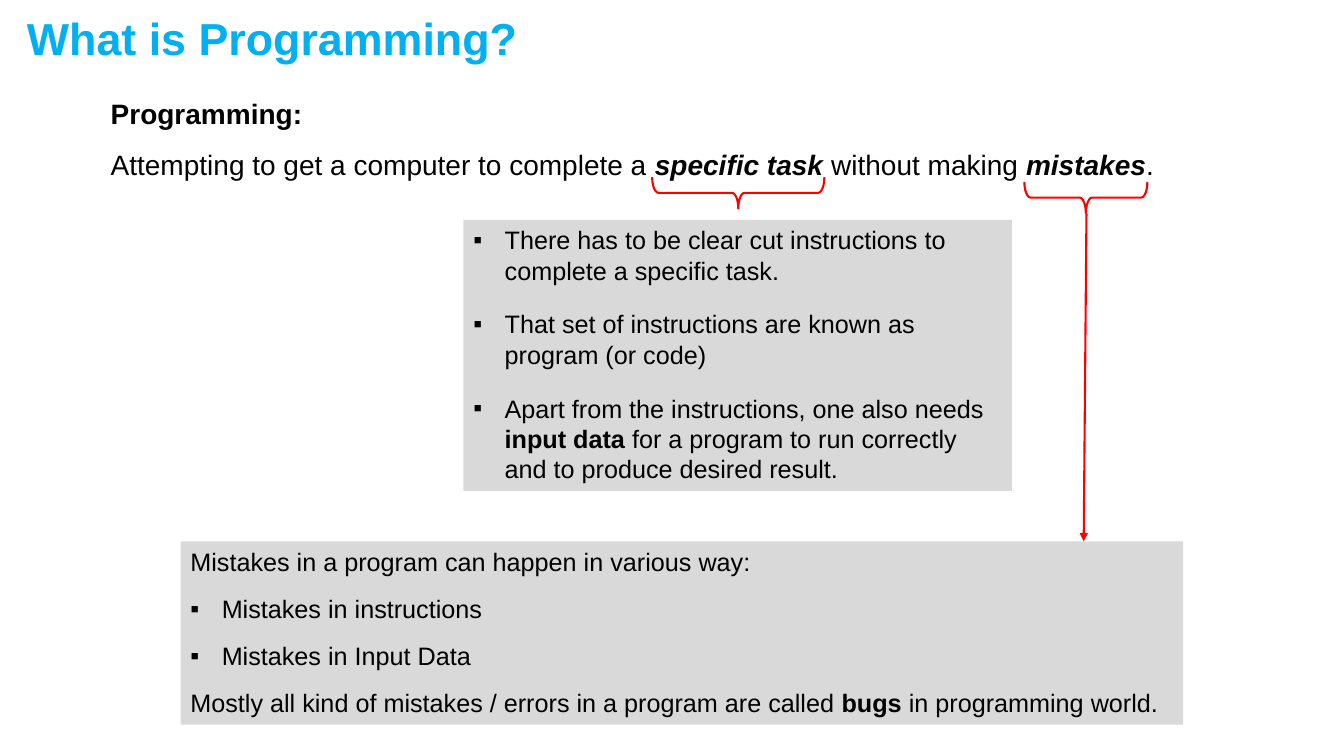
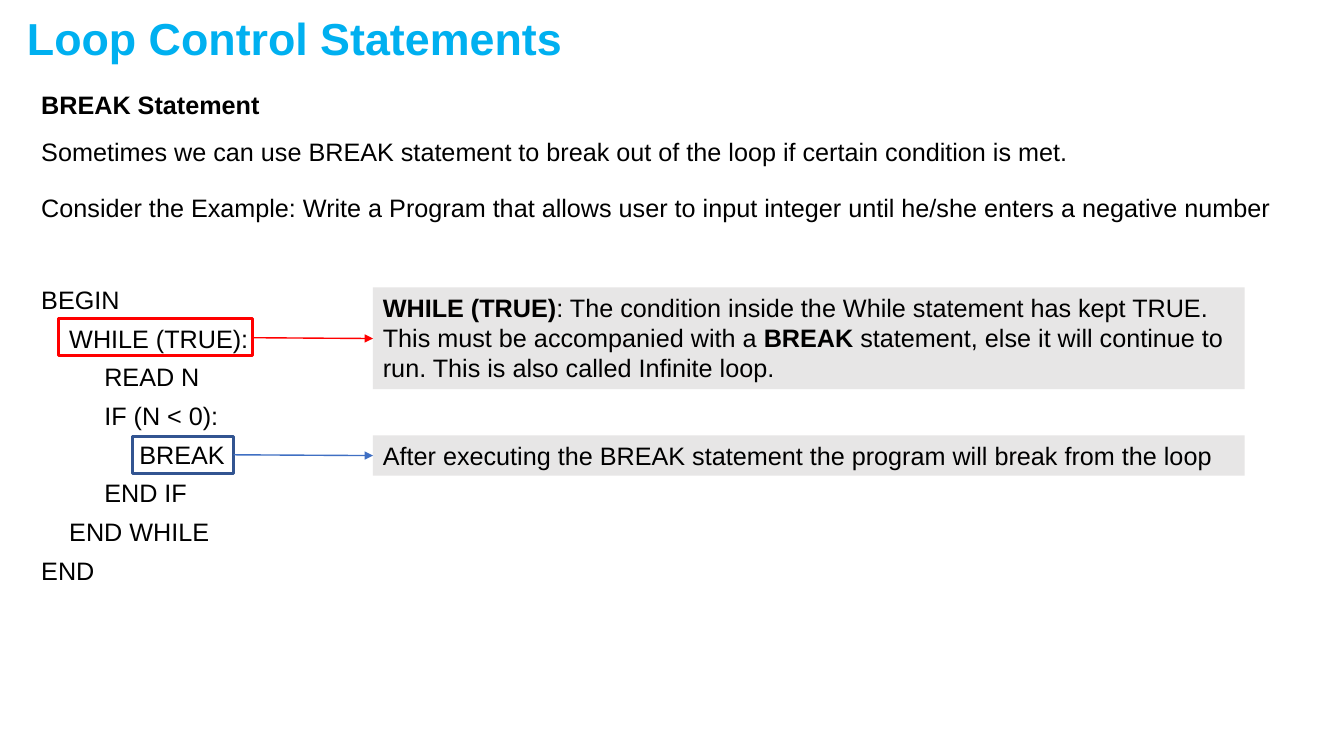
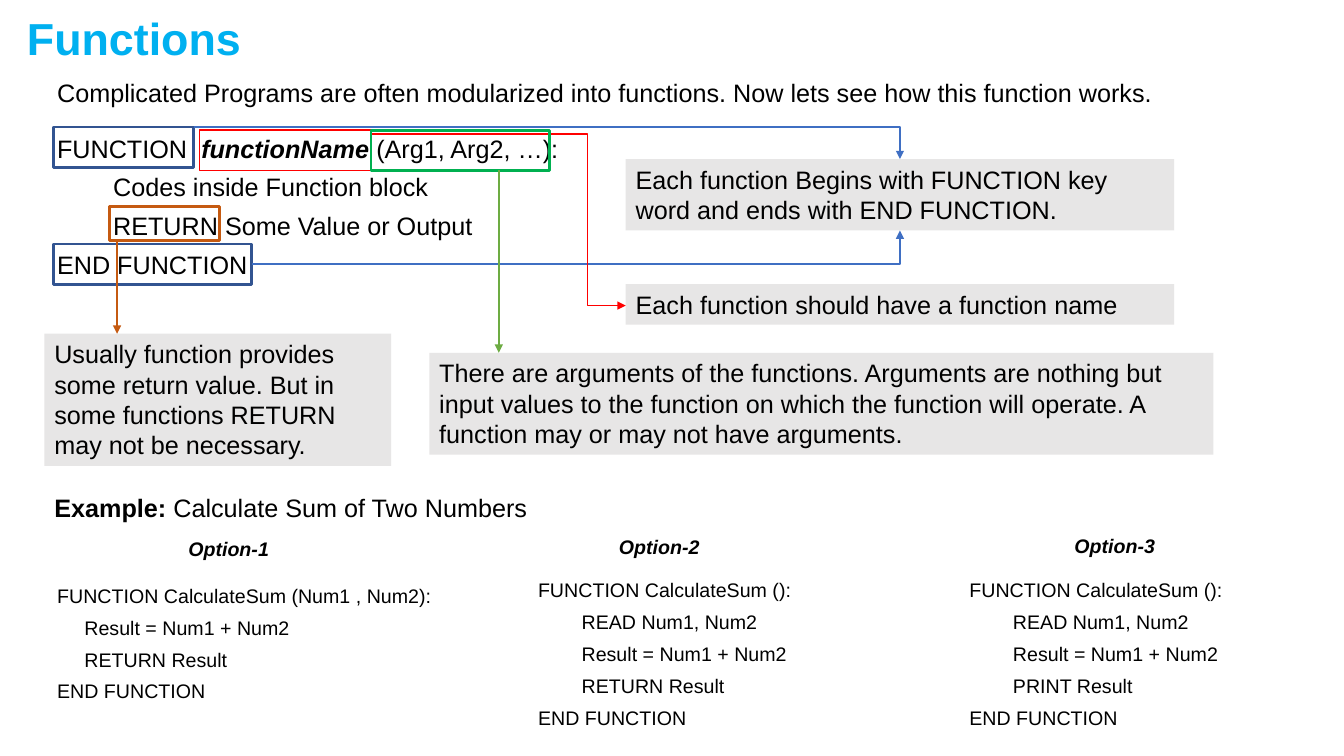
from dataclasses import dataclass
from typing import NamedTuple

from pptx import Presentation
from pptx.dml.color import RGBColor as Rgb
from pptx.enum.shapes import MSO_CONNECTOR as Link, MSO_SHAPE as Kind
from pptx.enum.text import MSO_ANCHOR as Anchor, PP_ALIGN as Align
from pptx.oxml.ns import qn
from pptx.oxml.xmlchemy import OxmlElement as Node
from pptx.util import Cm, Pt

FONT = "Arial"
LEAD = 1.2
SPACE = 0.278
HANG = Cm(0.79)
COLORS = {
    "title": "00B0F0", "text": "000000", "gray": "D9D9D9", "pale": "E7E6E6",
    "red": "FF0000", "navy": "325491", "blue": "3F6FC3", "green": "00B050",
    "leaf": "6DAC43", "rust": "C55A11",
}


class Box(NamedTuple):
    left: float
    top: float
    width: float
    height: float


class Spot(NamedTuple):
    x: float
    y: float


@dataclass
class Line:
    text: str
    pad: int = 0
    gap: float = 0
    mark: bool = False
    slant: bool = False


@dataclass
class Note:
    box: Box
    lines: list[Line]
    fill: str = "pale"


@dataclass
class Frame:
    box: Box
    color: str
    weight: float = 2


@dataclass
class Arrow:
    start: Spot
    end: Spot
    color: str
    weight: float = 1.5
    prst: str = "line"
    bend: float = 0


@dataclass
class Option:
    label: Spot
    box: Box
    head: str
    body: list[str]
    pad: int


def color(name: str) -> Rgb:
    return Rgb.from_string(COLORS[name])


def place(box: Box) -> list[Cm]:
    return [Cm(side) for side in box]


def write(shape, lines: list[Line], *, size: float = 18, ink: str = "text",
          align=Align.LEFT) -> None:
    frame = shape.text_frame
    frame.word_wrap = True
    frame.vertical_anchor = Anchor.TOP
    for at, line in enumerate(lines):
        para = frame.paragraphs[0] if at == 0 else frame.add_paragraph()
        para.alignment = align
        para.line_spacing = Pt(LEAD * size)
        para.space_before = Pt(LEAD * line.gap)
        props = para._p.get_or_add_pPr()
        if line.mark:
            props.set("marL", str(HANG))
            props.set("indent", str(-HANG))
            face = Node("a:buFont")
            face.set("typeface", FONT)
            sign = Node("a:buChar")
            sign.set("char", "▪")
            props.extend([face, sign])
        elif line.pad:
            props.set("marL", str(Pt(SPACE * size * line.pad)))
            props.set("indent", "0")
        for part, words in enumerate(line.text.split("|")):
            if words:
                run = para.add_run()
                run.text = words
                run.font.name = FONT
                run.font.size = Pt(size)
                run.font.color.rgb = color(ink)
                run.font.bold = part % 2 == 1
                run.font.italic = line.slant and part % 2 == 1


def text(slide, box: Box, lines: list[Line], **style) -> None:
    write(slide.shapes.add_textbox(*place(box)), lines, **style)


def draw_note(slide, note: Note) -> None:
    shape = slide.shapes.add_shape(Kind.RECTANGLE, *place(note.box))
    shape.shadow.inherit = False
    shape.fill.solid()
    shape.fill.fore_color.rgb = color(note.fill)
    shape.line.fill.background()
    write(shape, note.lines)


def draw_frame(slide, frame: Frame, kind=Kind.RECTANGLE):
    shape = slide.shapes.add_shape(kind, *place(frame.box))
    shape.shadow.inherit = False
    shape.fill.background()
    shape.line.color.rgb = color(frame.color)
    shape.line.width = Pt(frame.weight)
    return shape


def draw_brace(slide, box: Box) -> None:
    brace = draw_frame(slide, Frame(box, "red", 1.5), Kind.RIGHT_BRACE)
    brace.rotation = 90
    brace.adjustments[0] = 0.2


def draw_arrow(slide, arrow: Arrow) -> None:
    kind = Link.STRAIGHT if arrow.prst == "line" else Link.ELBOW
    link = slide.shapes.add_connector(kind, *place(arrow.start + arrow.end))
    link.line.color.rgb = color(arrow.color)
    link.line.width = Pt(arrow.weight)
    tail = Node("a:tailEnd")
    tail.set("type", "triangle")
    link.line._get_or_add_ln().append(tail)
    props = link._element.spPr
    props.append(Node("a:effectLst"))
    shape = props.find(qn("a:prstGeom"))
    shape.set("prst", arrow.prst)
    if arrow.bend:
        guide = Node("a:gd")
        guide.set("name", "adj1")
        guide.set("fmla", f"val {round(arrow.bend * 100000)}")
        shape.find(qn("a:avLst")).append(guide)


def draw(slide, items: list) -> None:
    tools = {Note: draw_note, Frame: draw_frame, Arrow: draw_arrow}
    for item in items:
        tools[type(item)](slide, item)


def code(rows: list[tuple[int, str]]) -> list[Line]:
    return [Line(words, pad, 5 if at else 0, slant=True)
            for at, (pad, words) in enumerate(rows)]


def start(deck, title: str):
    slide = deck.slides.add_slide(deck.slide_layouts[6])
    text(slide, Box(0.43, 0.15, 26.19, 1.63), [Line(f"|{title}|")],
         size=32, ink="title")
    return slide


def intro(deck) -> None:
    slide = start(deck, "What is Programming?")
    text(slide, Box(2.54, 2.31, 28.78, 2.39), [
        Line("|Programming:|"),
        Line("Attempting to get a computer to complete a |specific task |"
             "without making |mistakes|.", gap=10, slant=True),
    ], size=20)
    for box in (Box(18.21, 2.69, 0.79, 4.34), Box(26.97, 3.43, 0.79, 3.1)):
        draw_brace(slide, box)
    draw(slide, [
        Note(Box(11.68, 5.54, 13.82, 6.83), [
            Line("There has to be clear cut instructions to complete a "
                 "specific task.", mark=True),
            Line("That set of instructions are known as program (or code)",
                 gap=14, mark=True),
            Line("Apart from the instructions, one also needs |input data |"
                 "for a program to run correctly and to produce desired "
                 "result.", gap=14, mark=True),
        ], "gray"),
        Note(Box(4.55, 13.64, 25.27, 4.62), [
            Line("Mistakes in a program can happen in various way:"),
            Line("Mistakes in instructions", gap=10, mark=True),
            Line("Mistakes in Input Data", gap=10, mark=True),
            Line("Mostly all kind of mistakes / errors in a program are "
                 "called |bugs| in programming world.", gap=10),
        ], "gray"),
        Arrow(Spot(27.38, 5.38), Spot(27.31, 13.64), "red"),
    ])


def loops(deck) -> None:
    slide = start(deck, "Loop Control Statements")
    text(slide, Box(0.79, 2.13, 30.81, 2.24), [
        Line("|BREAK Statement|"),
        Line("Sometimes we can use BREAK statement to break out of the loop "
             "if certain condition is met.", gap=10),
    ])
    text(slide, Box(0.79, 4.72, 32.26, 1.02), [
        Line("Consider the Example: Write a Program that allows user to "
             "input integer until he/she enters a negative number")])
    text(slide, Box(0.79, 7.04, 12.75, 7.9), code([
        (0, "BEGIN"), (4, "WHILE (TRUE):"), (9, "READ N"),
        (9, "IF (N < 0):"), (14, "BREAK"), (9, "END IF"),
        (4, "END WHILE"), (0, "END"),
    ]))
    draw(slide, [
        Frame(Box(1.47, 8.03, 4.9, 0.94), "red"),
        Note(Box(9.4, 7.24, 21.97, 2.57), [
            Line("|WHILE (TRUE)|: The condition inside the While statement "
                 "has kept TRUE. This must be accompanied with a |BREAK| "
                 "statement, else it will continue to run. This is also "
                 "called Infinite loop.")]),
        Arrow(Spot(6.38, 8.51), Spot(9.4, 8.53), "red", 1),
        Frame(Box(3.35, 11, 2.54, 0.94), "navy"),
        Note(Box(9.4, 10.97, 21.97, 1.02), [
            Line("After executing the BREAK statement the program will "
                 "break from the loop")]),
        Arrow(Spot(5.89, 11.46), Spot(9.4, 11.48), "blue", 1),
    ])


def funcs(deck) -> None:
    slide = start(deck, "Functions")
    text(slide, Box(1.19, 1.83, 30.84, 1.02), [
        Line("Complicated Programs are often modularized into functions. "
             "Now lets see how this function works.")])
    text(slide, Box(1.19, 3.23, 15.82, 3.99), code([
        (0, "FUNCTION  |functionName |(Arg1, Arg2, …):"),
        (8, "Codes inside Function block"),
        (8, "RETURN Some Value or Output"),
        (0, "END FUNCTION"),
    ]))
    draw(slide, [
        Frame(Box(1.35, 3.2, 3.53, 1.02), "navy"),
        Frame(Box(1.35, 6.15, 5, 1.02), "navy"),
        Note(Box(15.77, 4.01, 13.82, 1.8), [
            Line("Each function Begins with FUNCTION key word and ends with "
                 "END FUNCTION.")]),
        Arrow(Spot(4.88, 3.2), Spot(22.68, 4.01), "blue",
              prst="bentConnector2"),
        Arrow(Spot(6.35, 6.65), Spot(22.68, 5.81), "blue",
              prst="bentConnector2"),
        Frame(Box(5.03, 3.28, 4.32, 1.02), "red", 1),
        Note(Box(15.77, 7.16, 13.82, 1.02), [
            Line("Each function should have a function name")]),
        Arrow(Spot(9.35, 3.38), Spot(15.77, 7.7), "red", 1,
              "bentConnector3", 0.85),
        Frame(Box(9.35, 3.28, 4.5, 1.02), "green"),
        Note(Box(10.82, 8.89, 19.76, 2.57), [
            Line("There are arguments of the functions. Arguments are "
                 "nothing but input values to the function on which the "
                 "function will operate. A function may or may not have "
                 "arguments.")]),
        Arrow(Spot(12.57, 4.29), Spot(12.57, 8.89), "leaf"),
        Frame(Box(2.77, 5.21, 2.77, 0.86), "rust"),
        Note(Box(1.12, 8.41, 8.74, 3.33), [
            Line("Usually function provides some return value. But in some "
                 "functions RETURN may not be necessary.")]),
        Arrow(Spot(2.95, 6.05), Spot(2.95, 8.41), "rust"),
    ])
    text(slide, Box(1.12, 12.27, 13.92, 1.02), [
        Line("|Example: |Calculate Sum of Two Numbers")])
    read, total = "READ Num1, Num2", "Result = Num1 + Num2"
    options = [
        Option(Spot(3.53, 13.41), Box(1.19, 14.58, 10.26, 3.3),
               "(Num1 , Num2)", [total, "RETURN Result"], 5),
        Option(Spot(14.38, 13.36), Box(13.31, 14.45, 7.42, 4.11),
               "()", [read, total, "RETURN Result"], 8),
        Option(Spot(25.86, 13.34), Box(24.18, 14.45, 7.85, 4.11),
               "()", [read, total, "PRINT Result"], 8),
    ]
    for rank, item in enumerate(options, 1):
        text(slide, Box(*item.label, 4.47, 0.86),
             [Line(f"|Option-{rank}|", slant=True)],
             size=14, align=Align.CENTER)
        rows = [(0, f"FUNCTION CalculateSum {item.head}:")]
        rows += [(item.pad, words) for words in item.body]
        text(slide, item.box, code(rows + [(0, "END FUNCTION")]), size=14)


def main() -> None:
    deck = Presentation()
    deck.slide_width, deck.slide_height = Cm(33.87), Cm(19.05)
    for build in (intro, loops, funcs):
        build(deck)
    deck.save("out.pptx")


if __name__ == "__main__":
    main()
